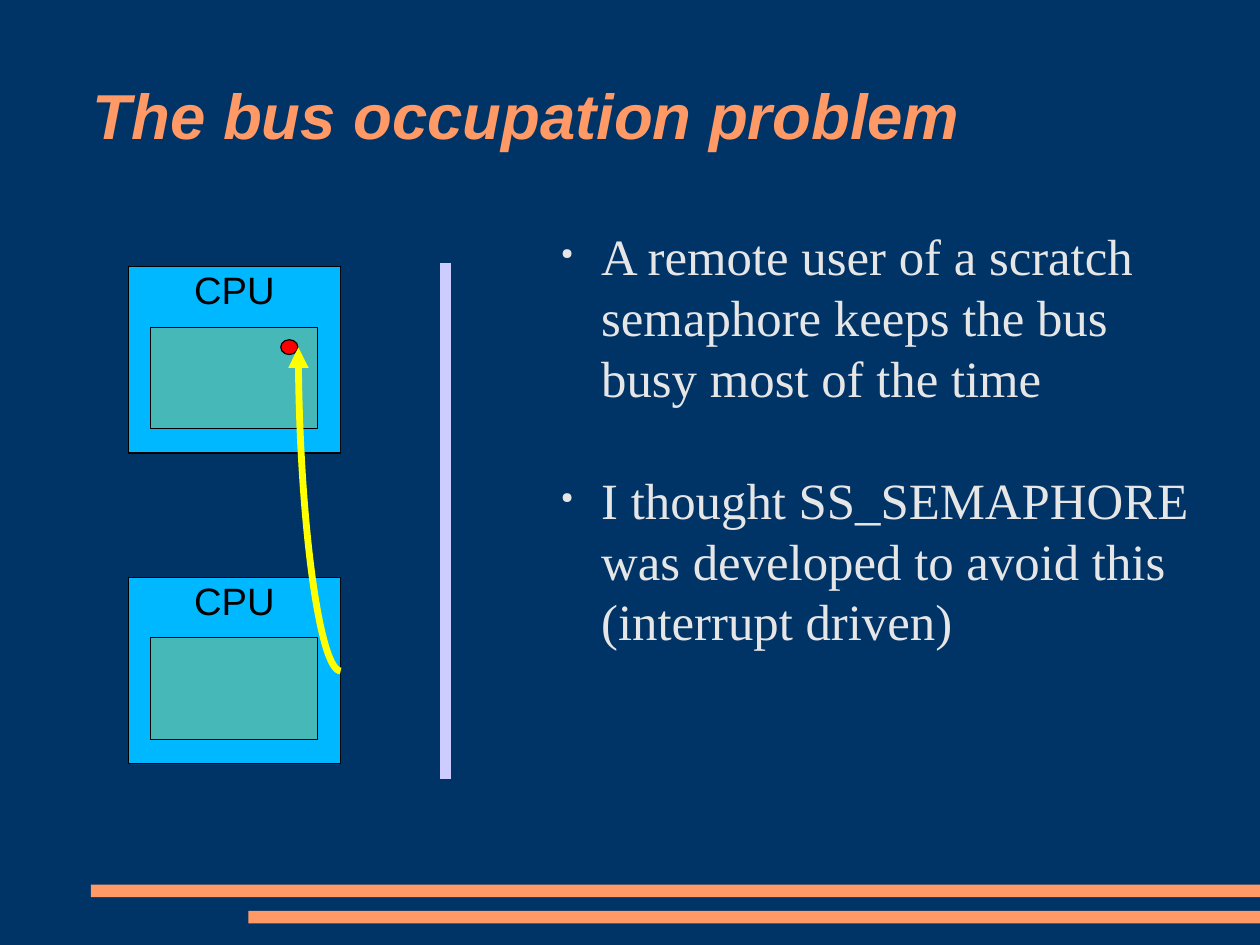
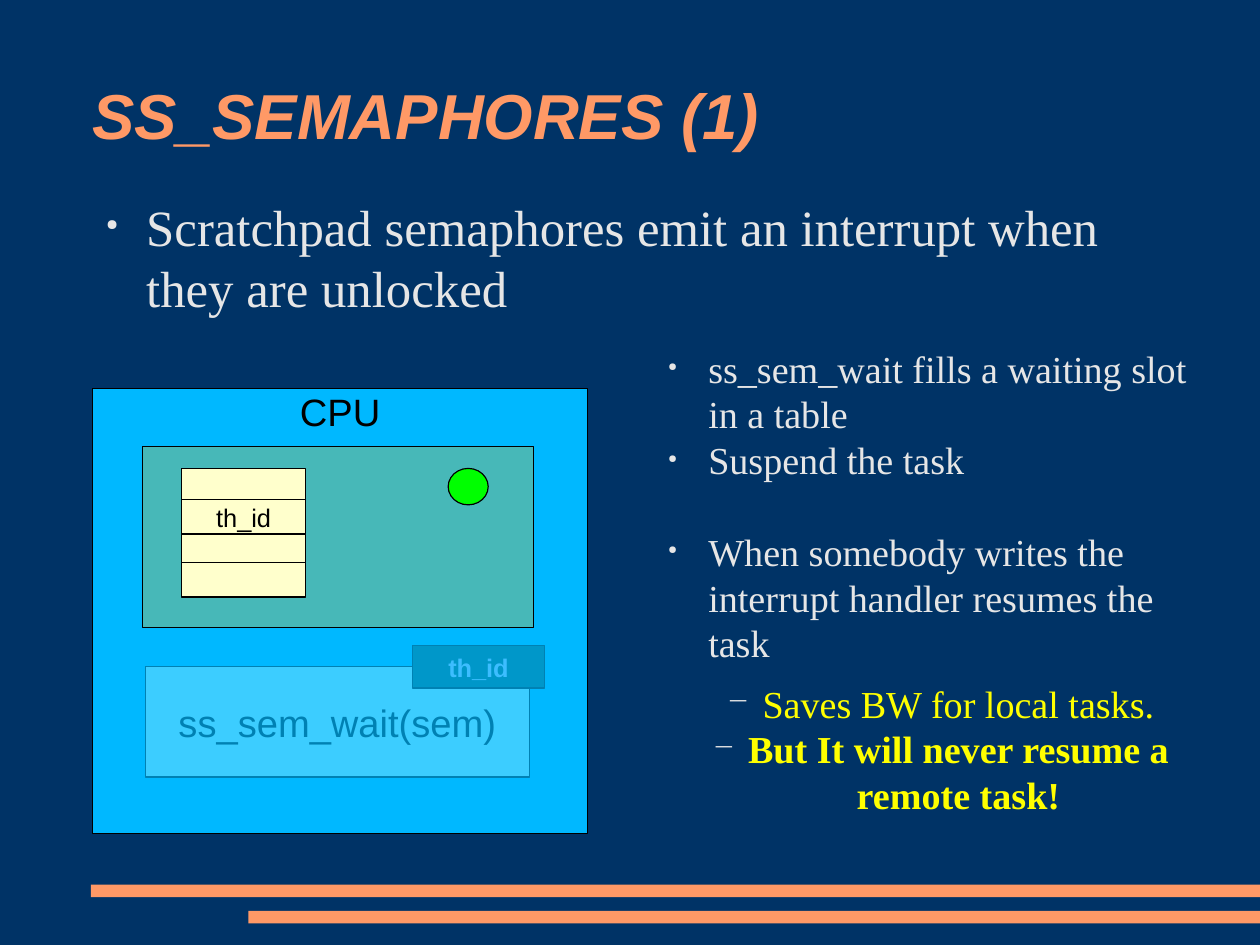
from lxml import etree
from pptx import Presentation
from pptx.dml.color import RGBColor
from pptx.enum.shapes import MSO_CONNECTOR, MSO_SHAPE
from pptx.enum.text import MSO_ANCHOR, PP_ALIGN
from pptx.oxml.ns import qn
from pptx.util import Cm, Pt

RECT, OVAL = MSO_SHAPE.RECTANGLE, MSO_SHAPE.OVAL
LINE, CURVE = MSO_CONNECTOR.STRAIGHT, MSO_CONNECTOR.CURVE
TOP, MIDDLE = MSO_ANCHOR.TOP, MSO_ANCHOR.MIDDLE
LEFT, CENTER = PP_ALIGN.LEFT, PP_ALIGN.CENTER

NAVY = RGBColor(0x00, 0x33, 0x66)
ORANGE = RGBColor(0xFF, 0x99, 0x66)
PALE = RGBColor(0xE6, 0xE6, 0xE6)
BLACK = RGBColor(0x00, 0x00, 0x00)
BLUE = RGBColor(0x00, 0xB8, 0xFF)
TEAL = RGBColor(0x47, 0xB8, 0xB8)
CREAM = RGBColor(0xFF, 0xFF, 0xCC)
ICE = RGBColor(0xCC, 0xFF, 0xFF)
DARK = RGBColor(0x00, 0x4A, 0x4A)
LILAC = RGBColor(0xCC, 0xCC, 0xFF)
YELLOW = RGBColor(0xFF, 0xFF, 0x00)
RED = RGBColor(0xFF, 0x00, 0x00)
GREEN = RGBColor(0x00, 0xFF, 0x00)

SANS, SERIF = "Arial", "Times New Roman"
WIDE, HIGH = 28, 21
LINE_RATIO = 1.2

# Bullet styles: mark, size in percent, left margin and hang in cm
DOT = ("●", 30, 1.19, 0.89)
DASH = ("−", 75, 2.39, 0.79)

# Bullet items: text, whether a blank line's gap goes before, bold
BUS = [
    ("A remote user of a scratch semaphore keeps the bus busy most of the time", False, False),
    ("I thought SS_SEMAPHORE was developed to avoid this (interrupt driven)", True, False),
]
EMIT = [("Scratchpad semaphores emit an interrupt when they are unlocked", False, False)]
STEPS = [
    ("ss_sem_wait fills a waiting slot in a table", False, False),
    ("Suspend the task", False, False),
    ("When somebody writes the interrupt handler resumes the task", True, False),
]
RESULT = [
    ("Saves BW for local tasks.", False, False),
    ("But It will never resume a remote task!", False, True),
]

BANDS = [(2.02, 19.66), (5.52, 20.24)]
BAND_H = 0.28
CHIP = "CPU"
CHIP_TOPS = [5.93, 12.83]
SLOTS = ["", "th_id", "", ""]
SLOT_TOP, SLOT_STEP = 10.41, 0.7


def style(run, font, size, color, bold=False, italic=False):
    run.font.name, run.font.size = font, Pt(size)
    run.font.color.rgb = color
    run.font.bold, run.font.italic = bold, italic


def frame(shape, anchor):
    text = shape.text_frame
    text.word_wrap = True
    text.vertical_anchor = anchor
    text.margin_left = text.margin_right = text.margin_top = text.margin_bottom = 0
    return text


def draw(slide, kind, box, fill, edge=True):
    shape = slide.shapes.add_shape(kind, *map(Cm, box))
    shape.shadow.inherit = False
    shape.fill.solid()
    shape.fill.fore_color.rgb = fill
    if edge:
        shape.line.color.rgb = BLACK
        shape.line.width = Pt(0)
    else:
        shape.line.fill.background()
    return shape


def label(shape, words, size, color=BLACK, bold=False, anchor=MIDDLE):
    text = frame(shape, anchor)
    text.text = words
    para = text.paragraphs[0]
    para.alignment = CENTER
    style(para.runs[0], SANS, size, color, bold)


def chip(slide, outer, inner):
    """Draw a processor with its scratchpad inside."""
    label(draw(slide, RECT, outer, BLUE), CHIP, 24, anchor=TOP)
    draw(slide, RECT, inner, TEAL)


def link(slide, kind, start, end, color, width):
    wire = slide.shapes.add_connector(kind, *map(Cm, start + end))
    wire.line.color.rgb = color
    wire.line.width = Pt(width)
    etree.SubElement(wire._element.spPr, qn("a:effectLst"))
    return wire


def bullet(para, mark, size, margin, hang):
    props = para._p.get_or_add_pPr()
    props.set("marL", str(Cm(margin)))
    props.set("indent", str(-Cm(hang)))
    tint = etree.SubElement(props, qn("a:buClr"))
    etree.SubElement(tint, qn("a:srgbClr"), val=str(PALE))
    etree.SubElement(props, qn("a:buSzPct"), val=str(size * 1000))
    etree.SubElement(props, qn("a:buChar"), char=mark)


def bullets(slide, box, items, size, color=PALE, kind=DOT, align=LEFT):
    text = frame(slide.shapes.add_textbox(*map(Cm, box)), TOP)
    text.text = "\n".join(item[0] for item in items)
    for para, (_, gap, bold) in zip(text.paragraphs, items):
        bullet(para, *kind)
        para.alignment = align
        if gap:
            para.space_before = Pt(round(size * LINE_RATIO))
        style(para.runs[0], SERIF, size, color, bold)


def page(deck, title):
    slide = deck.slides.add_slide(deck.slide_layouts[6])
    for left, top in BANDS:
        draw(slide, RECT, (left, top, WIDE - left, BAND_H), ORANGE, edge=False)
    text = frame(slide.shapes.add_textbox(Cm(2.06), Cm(0.79), Cm(23.9), Cm(3.5)), MIDDLE)
    text.text = title
    style(text.paragraphs[0].runs[0], SANS, 40, ORANGE, True, True)
    return slide


def problem(deck):
    slide = page(deck, "The bus occupation problem")
    bullets(slide, (12.17, 5, 14.27, 15.37), BUS, 32)
    for top in CHIP_TOPS:
        chip(slide, (2.86, top, 4.7, 4.14), (3.34, top + 1.34, 3.71, 2.26))
    draw(slide, OVAL, (6.24, 7.55, 0.38, 0.33), RED)
    link(slide, LINE, (9.9, 5.84), (9.9, 17.32), LILAC, 7.2)

    # Turned by 180 degrees, so the arrow leaves at the lower right
    arrow = link(slide, CURVE, (6.63, 7.72), (7.57, 14.91), YELLOW, 4.31)
    props = arrow._element.spPr
    props.find(qn("a:xfrm")).set("rot", "10800000")
    props.find(qn("a:prstGeom")).set("prst", "curvedConnector2")
    etree.SubElement(props.find(qn("a:ln")), qn("a:tailEnd"), type="triangle")


def solution(deck):
    slide = page(deck, "SS_SEMAPHORES (1)")
    chip(slide, (2.06, 8.64, 11, 9.88), (3.17, 9.92, 8.69, 4.03))
    # The filled slot comes last, over its neighbours
    for row, words in sorted(enumerate(SLOTS), key=lambda slot: slot[1]):
        cell = draw(slide, RECT, (4.03, SLOT_TOP + row * SLOT_STEP, 2.77, 0.76), CREAM)
        if words:
            label(cell, words, 16)
    bullets(slide, (14.55, 7.67, 11.89, 9.25), STEPS, 24)
    bullets(slide, (2.06, 4.34, 24.36, 3.07), EMIT, 32)

    label(draw(slide, RECT, (3.23, 14.81, 8.53, 2.46), ICE), "ss_sem_wait(sem)", 24)
    label(draw(slide, RECT, (9.16, 14.35, 2.95, 0.94), DARK), "th_id", 16, LILAC, True)
    veil = draw(slide, RECT, (2.39, 14.2, 10.36, 3.94), BLUE, edge=False)
    tint = veil._element.spPr.find(qn("a:solidFill"))[0]
    etree.SubElement(tint, qn("a:alpha"), val="70000")

    draw(slide, OVAL, (9.96, 10.41, 0.89, 0.81), GREEN)
    bullets(slide, (13.82, 15.11, 12.57, 3.48), RESULT, 24, YELLOW, DASH, CENTER)


def main():
    deck = Presentation()
    deck.slide_width, deck.slide_height = Cm(WIDE), Cm(HIGH)
    back = deck.slide_master.background.fill
    back.solid()
    back.fore_color.rgb = NAVY
    problem(deck)
    solution(deck)
    deck.save("out.pptx")


if __name__ == "__main__":
    main()
